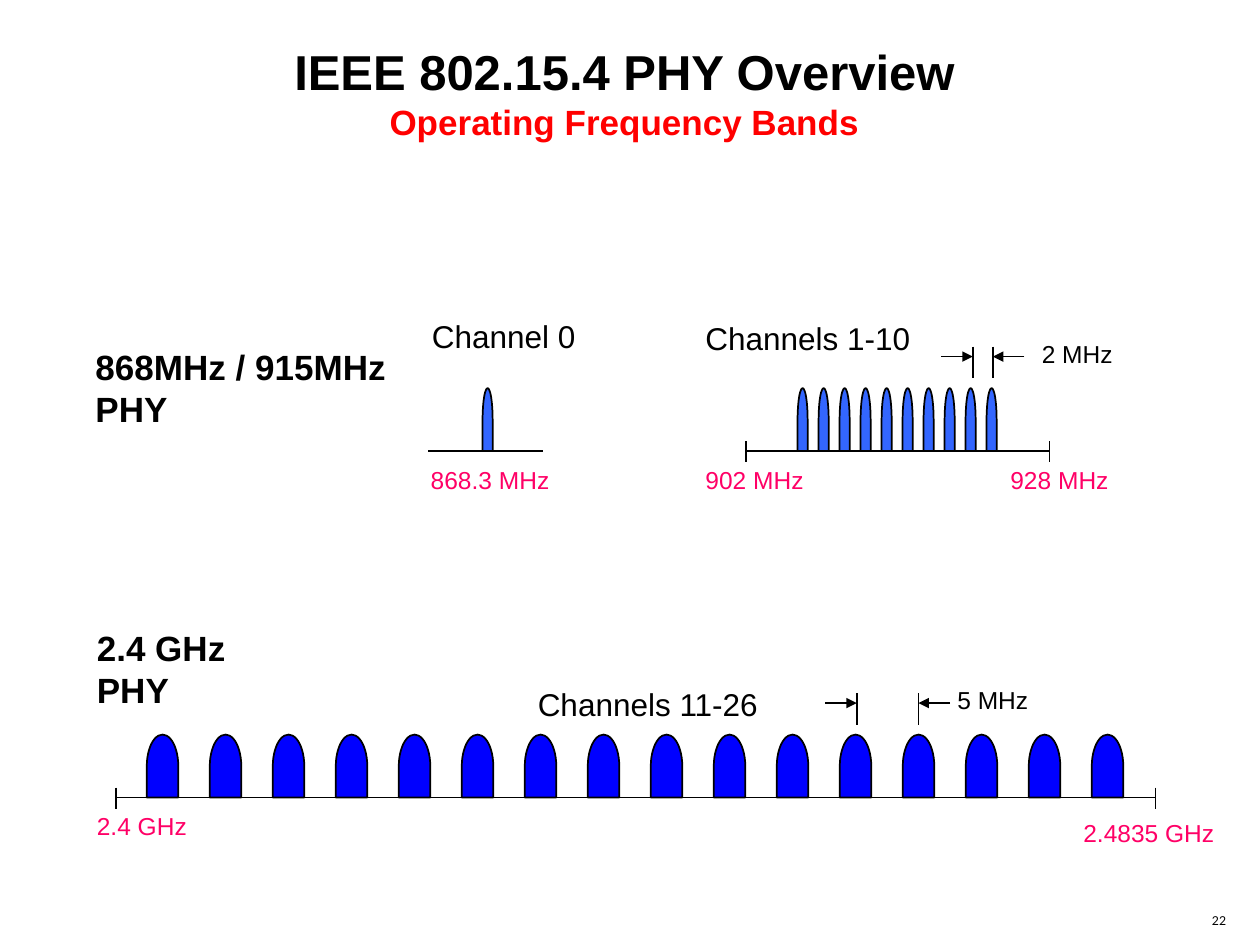
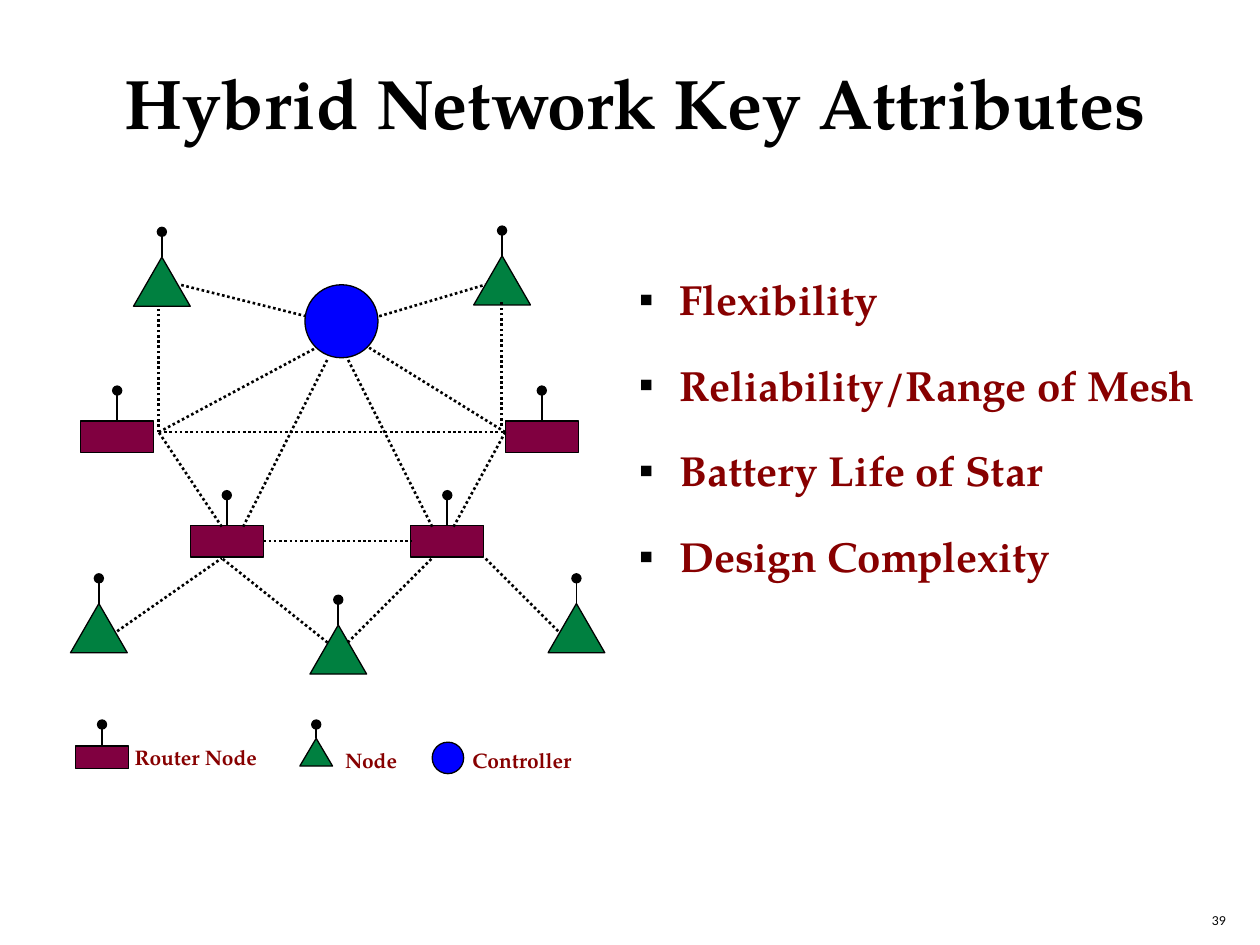
"""Builds two slides on IEEE 802.15.4 frequency bands and hybrid networks."""
from lxml import etree
from pptx import Presentation
from pptx.dml.color import RGBColor
from pptx.enum.dml import MSO_LINE
from pptx.enum.shapes import MSO_CONNECTOR, MSO_SHAPE
from pptx.enum.text import MSO_ANCHOR, MSO_AUTO_SIZE, PP_ALIGN
from pptx.oxml.ns import qn
from pptx.util import Inches, Pt

STRAIGHT = MSO_CONNECTOR.STRAIGHT
PULSE, TRIANGLE = MSO_SHAPE.FLOWCHART_DELAY, MSO_SHAPE.ISOSCELES_TRIANGLE
RECTANGLE, OVAL = MSO_SHAPE.RECTANGLE, MSO_SHAPE.OVAL
TOP, MIDDLE = MSO_ANCHOR.TOP, MSO_ANCHOR.MIDDLE
LEFT, CENTER = PP_ALIGN.LEFT, PP_ALIGN.CENTER
FIXED_SIZE = MSO_AUTO_SIZE.NONE
DOTTED = MSO_LINE.ROUND_DOT
TITLE_AND_BODY, TITLE_ONLY = 1, 5
SITE_TOP, SITE_LEFT, SITE_RIGHT = 0, 1, 3

COLORS = {"black": "000000", "red": "FF0000", "pink": "FF0066", "blue": "0000FF",
          "sky": "3366FF", "green": "008040", "plum": "800040", "maroon": "870000"}
SANS, SERIF, NUMBER = "Arial", "TeX Gyre Pagella", "Lato"

HEADING = {"name": SANS, "size": Pt(28), "bold": True, "color": "black"}
SUBHEADING = {**HEADING, "size": Pt(20), "color": "red"}
BAND_NAME = {**HEADING, "size": Pt(20)}
CHANNEL = {"name": SANS, "size": Pt(18), "bold": False, "color": "black"}
SPACING = {**CHANNEL, "size": Pt(14)}
FREQUENCY = {**SPACING, "color": "pink"}
SERIF_HEADING = {"name": SERIF, "size": Pt(40), "bold": True, "color": "black"}
ATTRIBUTE = {**SERIF_HEADING, "size": Pt(24), "color": "maroon"}
LEGEND = {**ATTRIBUTE, "size": Pt(12)}
PAGE_NUMBER = {"name": NUMBER, "size": Pt(7), "bold": False, "color": "black"}


class SlidePainter:
    """Holds the shared style and the slide being drawn."""

    def __init__(self, deck):
        self.deck = deck
        self.page = None

    def start(self, layout, number):
        """Adds a slide with its page number."""
        self.page = self.deck.slides.add_slide(self.deck.slide_layouts[layout])
        self.text((9.45, 7.14, 0.45, 0.33), [(number, PAGE_NUMBER)],
                  align=CENTER, anchor=MIDDLE, wrap=True)

    def color(self, name):
        """Returns a named colour."""
        return RGBColor.from_string(COLORS[name])

    def place(self, shape, area):
        """Moves a shape to left, top, width and height in inches."""
        for name, value in zip(("left", "top", "width", "height"), area):
            setattr(shape, name, Inches(value))

    def fill_frame(self, frame, lines, align=LEFT, anchor=TOP, wrap=True):
        """Fills a text frame with one paragraph for each line."""
        settings = {"word_wrap": wrap, "auto_size": FIXED_SIZE,
                    "vertical_anchor": anchor}
        for name, value in settings.items():
            setattr(frame, name, value)
        for index, (words, style) in enumerate(lines):
            para = frame.add_paragraph() if index else frame.paragraphs[0]
            para.alignment = align
            para.space_before = Pt(0)
            span = para.add_run()
            span.text = words
            for name, value in style.items():
                if name == "color":
                    span.font.color.rgb = self.color(value)
                else:
                    setattr(span.font, name, value)

    def text(self, area, lines, align=LEFT, anchor=TOP, wrap=False):
        """Adds a text box."""
        box = self.page.shapes.add_textbox(*map(Inches, area))
        self.fill_frame(box.text_frame, lines, align, anchor, wrap)

    def title(self, area, lines):
        """Moves and fills the title placeholder."""
        heading = self.page.shapes.title
        self.place(heading, area)
        self.fill_frame(heading.text_frame, lines, CENTER)

    def bullets(self, area, lines, line_spacing):
        """Moves and fills the body placeholder as a square-bulleted list."""
        body = self.page.placeholders[1]
        self.place(body, area)
        self.fill_frame(body.text_frame, lines)
        for para in body.text_frame.paragraphs:
            para.line_spacing = line_spacing
            properties = para._p.get_or_add_pPr()
            properties.set("marL", str(Inches(0.32)))
            properties.set("indent", str(-Inches(0.32)))
            tint = etree.SubElement(properties, qn("a:buClr"))
            etree.SubElement(tint, qn("a:srgbClr"), val=COLORS["black"])
            etree.SubElement(properties, qn("a:buChar"), char="▪")

    def shape(self, kind, area, fill, weight=0.75, rotation=0):
        """Adds an outlined preset shape."""
        shape = self.page.shapes.add_shape(kind, *map(Inches, area))
        shape.shadow.inherit = False
        shape.rotation = rotation
        shape.fill.solid()
        shape.fill.fore_color.rgb = self.color(fill)
        shape.line.color.rgb = self.color("black")
        shape.line.width = Pt(weight)
        return shape

    def line(self, start, end, weight=1, dash=None, tip=None):
        """Adds a straight connector with an optional tip at its end."""
        link = self.page.shapes.add_connector(STRAIGHT, *map(Inches, (*start, *end)))
        link.line.color.rgb = self.color("black")
        link.line.width = Pt(weight)
        if dash:
            link.line.dash_style = dash
        properties = link.element.spPr
        if tip:
            etree.SubElement(properties.find(qn("a:ln")), qn("a:tailEnd"), type=tip)
        etree.SubElement(properties, qn("a:effectLst"))
        return link

    def radio_link(self, start, end):
        """Adds a dotted link between network nodes."""
        return self.line(start, end, 1.5, DOTTED)

    def pulses(self, first, step, count, middle, width, fill):
        """Adds a row of upright channel pulses half an inch high."""
        for index in range(count):
            center = first + index * step
            area = (center - 0.25, middle - width / 2, 0.5, width)
            self.shape(PULSE, area, fill, 1, 270)

    def axis(self, left, right, y):
        """Adds a frequency axis with a tick at each end."""
        self.line((left, y), (right, y))
        for x in (left, right):
            self.line((x, y - 0.08), (x, y + 0.09))

    def spacing_mark(self, left, right, top):
        """Marks the gap between two channels with inward arrows."""
        for x, tail in ((left, left - 0.25), (right, right + 0.25)):
            self.line((x, top), (x, top + 0.25))
            self.line((tail, top + 0.08), (x, top + 0.08), tip="triangle")

    def radio_node(self, kind, area, fill, antenna):
        """Adds a node with an antenna on its top centre."""
        node = self.shape(kind, area, fill)
        left, top, width, _ = area
        x = left + width / 2
        mast = self.line((x, top), (x, top - antenna), tip="oval")
        mast.begin_connect(node, SITE_TOP)
        return node


def draw_frequency_bands(painter):
    """Draws the operating frequency bands."""
    painter.start(TITLE_ONLY, "22")
    painter.title((1.08, 0.28, 7.75, 0.9), [("IEEE 802.15.4 PHY Overview", HEADING),
                                            ("Operating Frequency Bands", SUBHEADING)])
    for area, band in (((0.66, 2.69, 3.17, 0.77), "868MHz / 915MHz"),
                       ((0.67, 4.92, 1.42, 0.77), "2.4 GHz")):
        painter.text(area, [(band, BAND_NAME), ("PHY", BAND_NAME)], wrap=True)

    painter.line((3.4, 3.58), (4.31, 3.58))
    painter.axis(5.92, 8.33, 3.58)
    painter.axis(0.92, 9.17, 6.33)
    painter.pulses(3.87, 0, 1, 3.33, 0.08, "sky")
    painter.pulses(6.37, 1 / 6, 10, 3.33, 0.08, "sky")
    painter.pulses(1.29, 0.5, 16, 6.08, 0.25, "blue")
    painter.spacing_mark(7.72, 7.88, 2.75)
    painter.spacing_mark(6.8, 7.29, 5.5)

    labels = [("Channel 0", CHANNEL, (3.33, 2.47, 1.34, 0.4)),
              ("Channels 1-10", CHANNEL, (5.5, 2.48, 1.82, 0.4)),
              ("Channels 11-26", CHANNEL, (4.17, 5.39, 1.96, 0.4)),
              ("868.3 MHz", FREQUENCY, (3.32, 3.64, 1.14, 0.34)),
              ("902 MHz", FREQUENCY, (5.5, 3.64, 0.98, 0.34)),
              ("928 MHz", FREQUENCY, (7.92, 3.64, 0.98, 0.34)),
              ("2.4 GHz", FREQUENCY, (0.67, 6.39, 0.91, 0.34)),
              ("2.4835 GHz", FREQUENCY, (8.5, 6.44, 1.24, 0.34)),
              ("2 MHz", SPACING, (8.17, 2.64, 0.76, 0.34)),
              ("5 MHz", SPACING, (7.5, 5.39, 0.76, 0.34))]
    for words, style, area in labels:
        painter.text(area, [(words, style)])


def draw_hybrid_network(painter):
    """Draws the hybrid network, its legend and its attributes."""
    painter.start(TITLE_AND_BODY, "39")
    painter.title((0.58, 0.42, 8.92, 1.44),
                  [("Hybrid Network Key Attributes", SERIF_HEADING)])
    attributes = ("Flexibility", "Reliability/Range of Mesh",
                  "Battery Life of Star", "Design Complexity")
    painter.bullets((4.97, 1.84, 4.73, 2.82),
                    [(words, ATTRIBUTE) for words in attributes], 1.7)

    for left, top in ((0.56, 4.79), (4.35, 4.79), (2.46, 4.96), (1.06, 2.04), (3.76, 2.03)):
        painter.radio_node(TRIANGLE, (left, top, 0.45, 0.39), "green", 0.2)
    routers = [painter.radio_node(RECTANGLE, (left, top, 0.58, 0.25), "plum", 0.24)
               for left, top in ((0.64, 3.34), (4.01, 3.34), (1.51, 4.17), (3.26, 4.17))]

    west, east = (1.26, 3.43), (4.01, 3.43)
    southwest = (1.76, 4.43)
    links = [((2.43, 2.51), (1.43, 2.26)), ((3.01, 2.51), (3.85, 2.26)),
             (west, (2.51, 2.76)), (east, (2.93, 2.76)), (west, east),
             ((1.93, 4.18), (2.6, 2.85)), ((3.43, 4.18), (2.76, 2.85)),
             ((1.76, 4.18), west), ((3.6, 4.18), east),
             ((2.6, 5.1), southwest), ((0.93, 5.01), southwest),
             ((2.76, 5.1), (3.43, 4.43)), ((4.43, 5.01), (3.85, 4.43)),
             (west, (1.26, 2.43)), ((3.98, 3.38), (3.98, 2.38))]
    for start, end in links:
        painter.radio_link(start, end)
    router_link = painter.radio_link((2.09, 4.29), (3.26, 4.29))
    router_link.begin_connect(routers[2], SITE_RIGHT)
    router_link.end_connect(routers[3], SITE_LEFT)
    painter.shape(OVAL, (2.42, 2.26, 0.58, 0.58), "blue")

    painter.radio_node(RECTANGLE, (0.6, 5.92, 0.42, 0.18), "plum", 0.17)
    painter.radio_node(TRIANGLE, (2.38, 5.86, 0.26, 0.22), "green", 0.11)
    painter.shape(OVAL, (3.43, 5.89, 0.25, 0.25), "blue")
    for words, area in (("Router Node", (0.97, 5.86, 1.26, 0.3)),
                        ("Node", (2.64, 5.88, 0.63, 0.3)),
                        ("Controller", (3.65, 5.88, 1.08, 0.3))):
        painter.text(area, [(words, LEGEND)])


def main():
    """Builds and saves the deck."""
    deck = Presentation()
    deck.slide_width, deck.slide_height = Inches(10), Inches(7.5)
    painter = SlidePainter(deck)
    draw_frequency_bands(painter)
    draw_hybrid_network(painter)
    deck.save("out.pptx")


if __name__ == "__main__":
    main()
